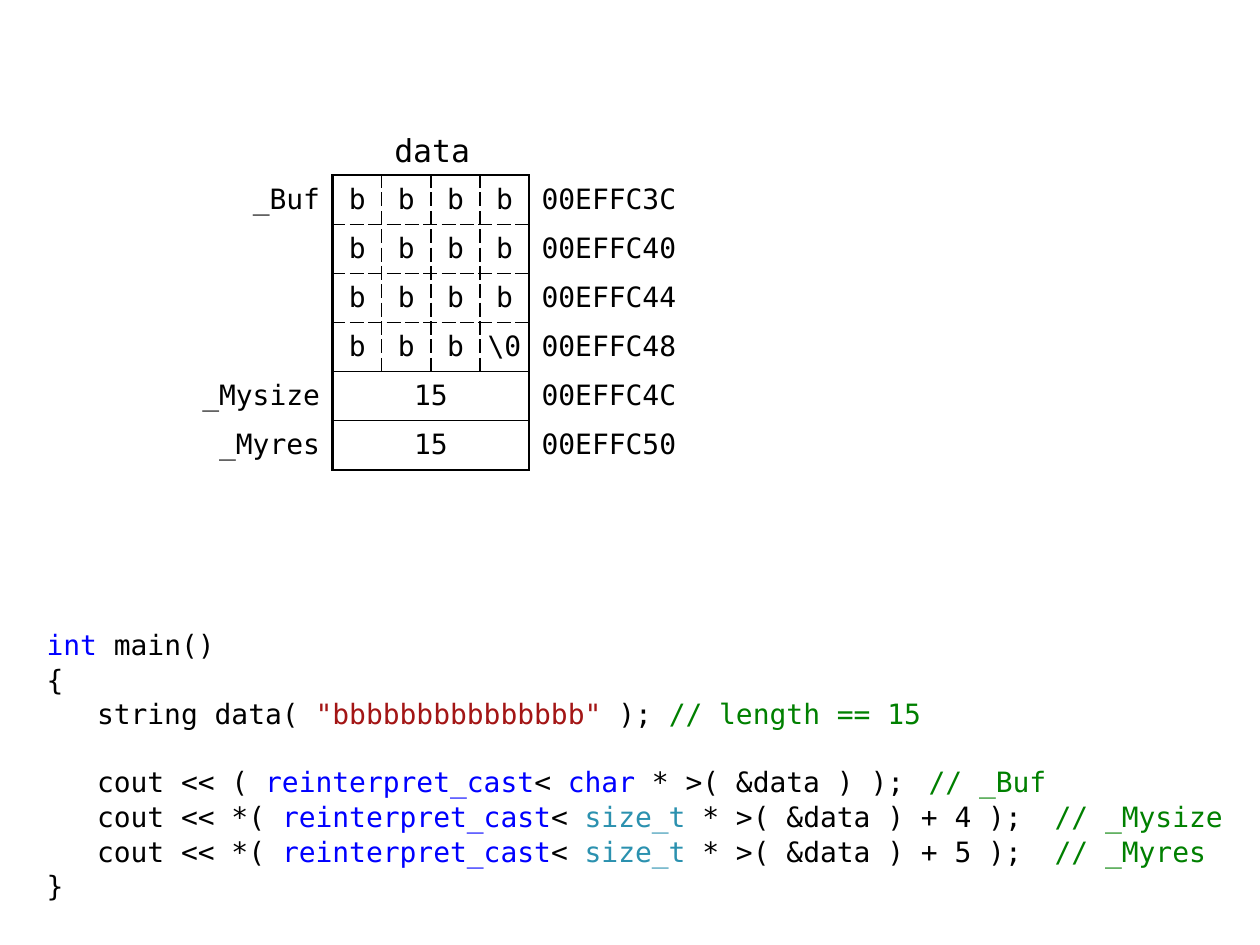
from lxml import etree
from pptx import Presentation
from pptx import util as u
from pptx.dml import color
from pptx.enum import text
from pptx.oxml import ns

COLORS = {"plain": "000000", "keyword": "0000FF", "string": "A31515",
          "comment": "008000", "type": "2B91AF"}
CELL = 0.39
SIDE = 1.38
THICK, THIN, DASHED = (1.5, "solid"), (1, "solid"), (1, "sysDash")
ROW_EDGES = [THICK, DASHED, DASHED, DASHED, THIN, THIN, THICK]
MEMORY = [
    ("_Buf", ["b"] * 4, "00EFFC3C"),
    ("", ["b"] * 4, "00EFFC40"),
    ("", ["b"] * 4, "00EFFC44"),
    ("", ["b", "b", "b", "\\0"], "00EFFC48"),
    ("_Mysize", ["15"], "00EFFC4C"),
    ("_Myres", ["15"], "00EFFC50"),
]


def size_line(offset, member):
    return [("cout << *( ", "plain"), ("reinterpret_cast", "keyword"),
            ("< ", "plain"), ("size_t ", "type"),
            (f"* >( &data ) + {offset} );", "plain"),
            (f"\t// {member}", "comment")]


CODE = [
    (0, 0, [("int", "keyword"), (" main()", "plain")]),
    (0, 0, [("{", "plain")]),
    (0.4, 0, [("string data( ", "plain"), ('"bbbbbbbbbbbbbbb" ', "string"),
              ("); ", "plain"), ("// length == 15", "comment")]),
    (0.4, 19.2, [("cout << ( ", "plain"), ("reinterpret_cast", "keyword"),
                 ("< ", "plain"), ("char", "keyword"),
                 (" * >( &data ) );", "plain"), ("\t// _Buf", "comment")]),
    (0.4, 0, size_line(4, "_Mysize")),
    (0.4, 0, size_line(5, "_Myres")),
    (0, 0, [("}", "plain")]),
]


def column_edge(row, edge):
    if edge in (1, 5):
        return THICK
    return DASHED if 1 < edge < 5 and row < 4 else None


def add_element(parent, tag, **attributes):
    return etree.SubElement(parent, ns.qn(tag), attributes)


class MemorySlide:
    """Holds the style and the current slide."""

    font = "DejaVu Sans Mono"

    def __init__(self, presentation):
        self.slide = presentation.slides.add_slide(presentation.slide_layouts[1])
        title = self.slide.shapes.title.element
        title.getparent().remove(title)

    def style(self, run, size=16, role="plain"):
        run.font.name = self.font
        run.font.size = u.Pt(size)
        run.font.color.rgb = color.RGBColor.from_string(COLORS[role])

    def label(self, frame, content, alignment, size=16):
        frame.text = content
        paragraph = frame.paragraphs[0]
        paragraph.alignment = alignment
        for run in paragraph.runs:
            self.style(run, size)

    def code(self, left, top, width, height, lines, comment_column):
        shape = self.slide.placeholders[1]
        shape.left, shape.top = u.Inches(left), u.Inches(top)
        shape.width, shape.height = u.Inches(width), u.Inches(height)
        frame = shape.text_frame
        frame.word_wrap = True
        frame.auto_size = text.MSO_AUTO_SIZE.NONE
        frame.vertical_anchor = text.MSO_ANCHOR.TOP
        frame.margin_right = 0
        for number, (indent, gap, parts) in enumerate(lines):
            paragraph = frame.add_paragraph() if number else frame.paragraphs[0]
            paragraph.space_before, paragraph.space_after = u.Pt(gap), u.Pt(0.6)
            properties = paragraph._p.get_or_add_pPr()
            properties.set("marL", "0")
            properties.set("indent", str(u.Inches(indent)))
            add_element(properties, "a:buNone")
            tabs = add_element(properties, "a:tabLst")
            add_element(tabs, "a:tab", pos=str(u.Inches(comment_column)), algn="l")
            for content, role in parts:
                run = paragraph.add_run()
                run.text = content
                self.style(run, role=role)

    def caption(self, left, top, width, height, content):
        box = self.slide.shapes.add_textbox(*map(u.Inches, (left, top, width, height)))
        box.text_frame.word_wrap = True
        self.label(box.text_frame, content, text.PP_ALIGN.CENTER, 18)

    def borders(self, cell, edges):
        properties = cell._tc.get_or_add_tcPr()
        for position, (side, edge) in enumerate(zip("LRTB", edges)):
            line = add_element(properties, f"a:ln{side}")
            properties.insert(position, line)
            if edge:
                width, dash = edge
                line.set("w", str(u.Pt(width)))
                fill = add_element(line, "a:solidFill")
                add_element(fill, "a:srgbClr", val=COLORS["plain"])
                add_element(line, "a:prstDash", val=dash)
            else:
                add_element(line, "a:noFill")

    def cell(self, cell, content, alignment, margins):
        cell.vertical_anchor = text.MSO_ANCHOR.MIDDLE
        cell.margin_left, cell.margin_right = map(u.Inches, margins)
        cell.margin_top = cell.margin_bottom = u.Inches(0.04)
        self.label(cell.text_frame, content, alignment)

    def memory(self, left, top, rows):
        widths = [SIDE] + [CELL] * 4 + [SIDE]
        table = self.slide.shapes.add_table(
            len(rows), len(widths), u.Inches(left), u.Inches(top),
            u.Inches(sum(widths)), u.Inches(CELL * len(rows))).table
        table.first_row = table.horz_banding = False
        for column, width in zip(table.columns, widths):
            column.width = u.Inches(width)
        for r, (name, values, address) in enumerate(rows):
            table.rows[r].height = u.Inches(CELL)
            for c in range(len(widths)):
                cell = table.cell(r, c)
                cell.fill.background()
                inner = 0 < c < 5
                self.borders(cell, [
                    column_edge(r, c), column_edge(r, c + 1),
                    ROW_EDGES[r] if inner else None,
                    ROW_EDGES[r + 1] if inner else None])
            if len(values) == 1:
                table.cell(r, 1).merge(table.cell(r, 4))
            self.cell(table.cell(r, 0), name, text.PP_ALIGN.RIGHT, (0.1, 0.1))
            for c, value in enumerate(values, 1):
                margin = 0 if value == "\\0" else 0.08
                self.cell(table.cell(r, c), value, text.PP_ALIGN.CENTER, (margin, margin))
            self.cell(table.cell(r, 5), address, text.PP_ALIGN.LEFT, (0.1, 0.08))


def main():
    presentation = Presentation()
    presentation.slide_width, presentation.slide_height = u.Inches(10), u.Inches(7.5)
    slide = MemorySlide(presentation)
    slide.code(0.27, 4.93, 9.45, 2.17, CODE, 7.87)
    slide.memory(1.26, 1.39, MEMORY)
    slide.caption(2.64, 0.99, 1.58, 0.39, "data")
    presentation.save("out.pptx")


if __name__ == "__main__":
    main()
